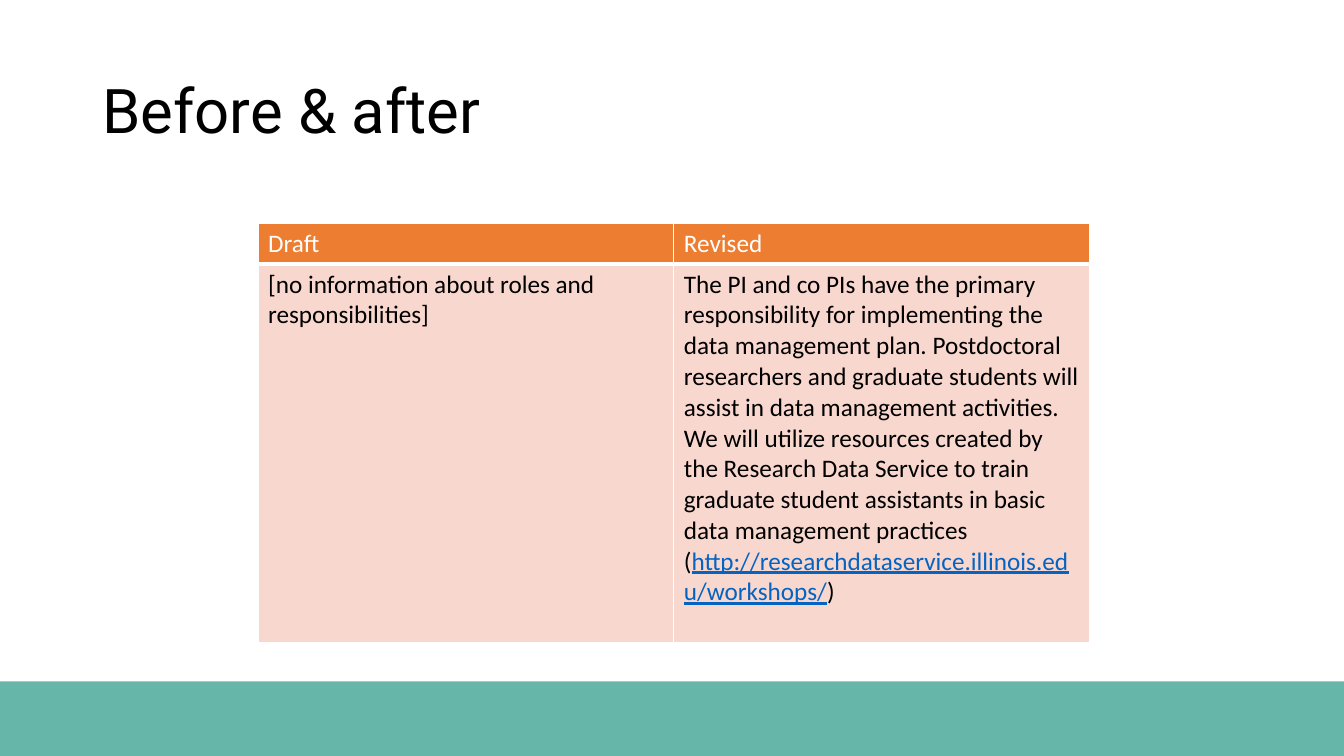
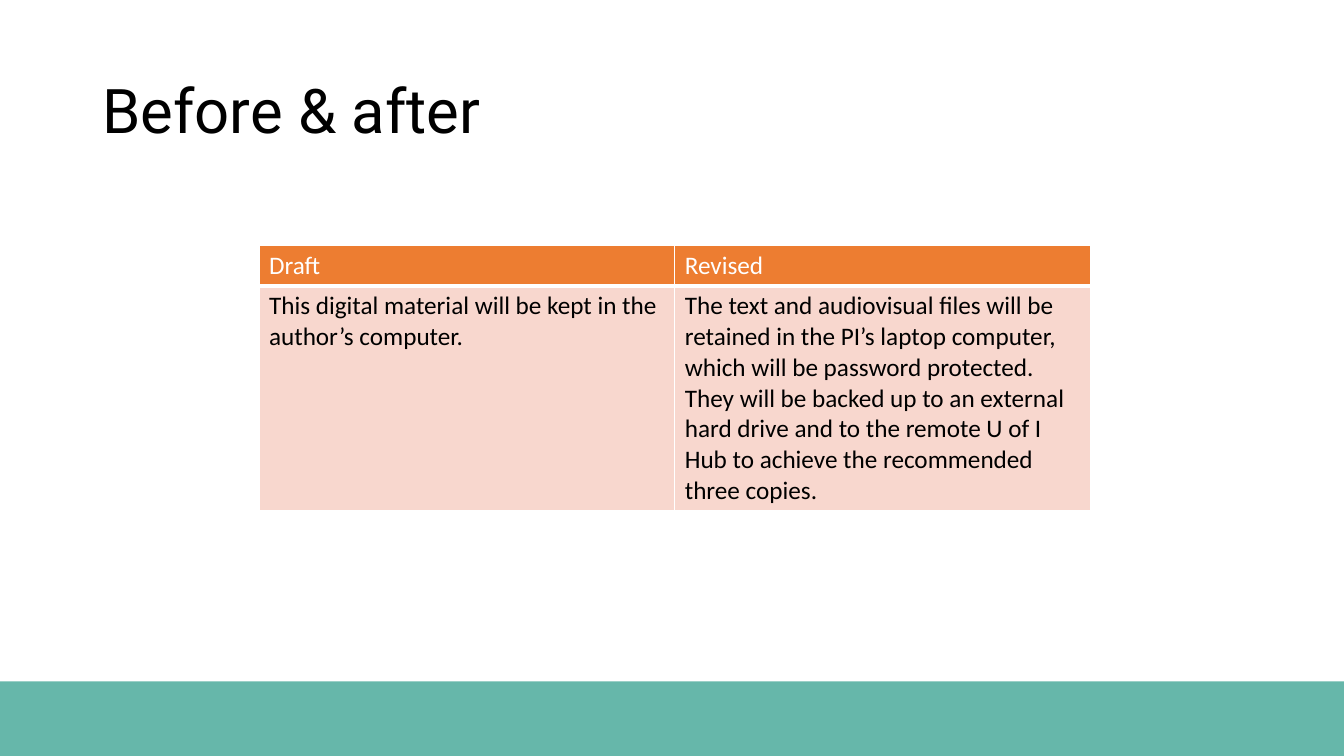
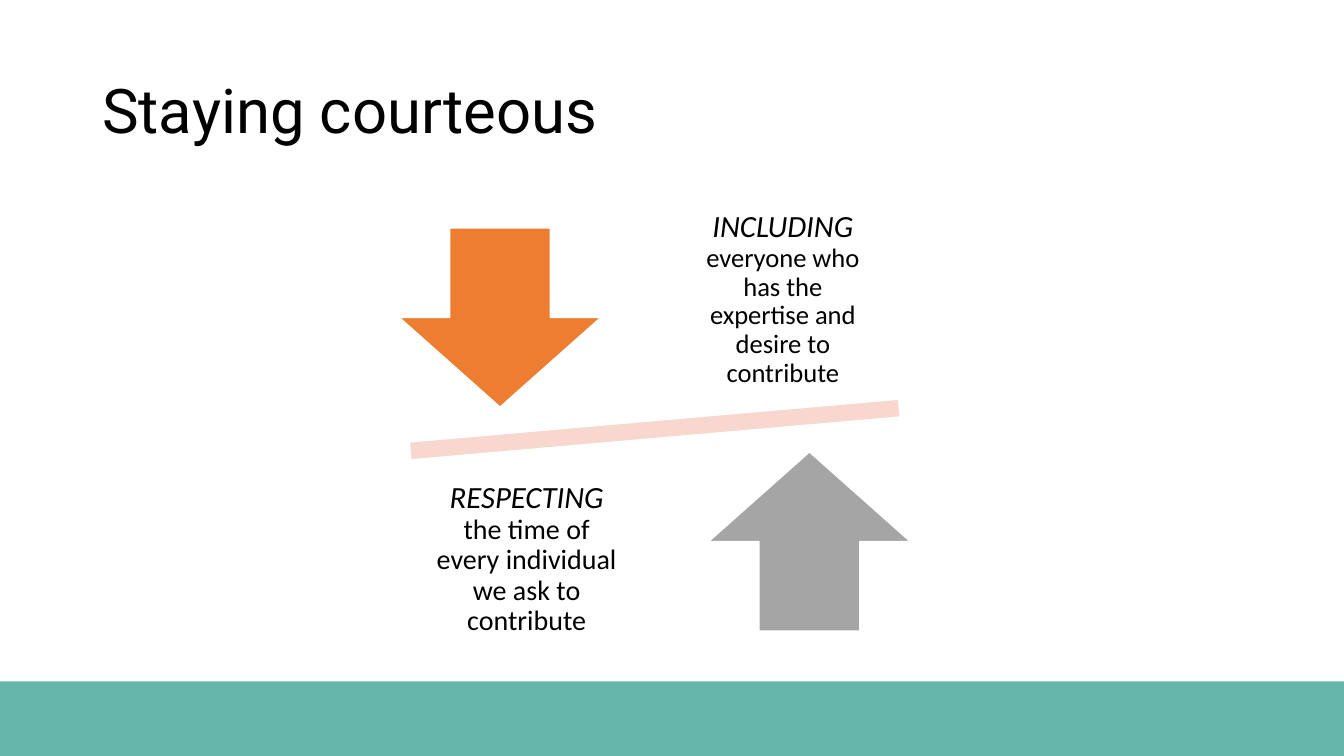
from lxml import etree
from pptx import Presentation
from pptx import util as u
from pptx.dml.color import RGBColor
from pptx.enum import shapes, text
from pptx.oxml.ns import qn

Pt = u.Pt
SHAPE = shapes.MSO_SHAPE
SLIDE_W, SLIDE_H = 960, 540

COLORS = {
    "band": "319F8D", "black": "000000", "white": "FFFFFF",
    "orange": "ED7D31", "blush": "F8D7CE", "gray": "A5A5A5", "link": "0563C1",
}

# Text formats
BODY = {"name": "Calibri", "size": Pt(18), "bold": False, "color": "black"}
HEADER = {**BODY, "color": "white"}
LINK = {**BODY, "color": "link", "underline": True}
TITLE = {"name": "Roboto", "size": Pt(44), "color": "black"}
LEAD = {**BODY, "size": Pt(22), "italic": True}

TITLE_BOX = (66, 29, 828, 104)
BAND_BOX = (0, 486.7, SLIDE_W, SLIDE_H - 486.7)
HEAD_H = 29.2


def rgb(name):
    return RGBColor.from_string(COLORS[name])


def add_run(p, words, fmt):
    r = p.add_run()
    r.text = words
    for key, value in fmt.items():
        if key == "color":
            r.font.color.rgb = rgb(value)
        else:
            setattr(r.font, key, value)


def add_text(s, box, inset=None, align=None):
    """Add a vertically centred text box and return its paragraph."""
    tf = s.shapes.add_textbox(*map(Pt, box)).text_frame
    tf.word_wrap = True
    tf.vertical_anchor = text.MSO_ANCHOR.MIDDLE
    if inset is not None:
        for side in ("left", "top", "right", "bottom"):
            setattr(tf, f"margin_{side}", Pt(inset))
    p = tf.paragraphs[0]
    p.alignment = align
    p.line_spacing = 0.9
    return p


def add_shape(s, kind, box, fill, line=None):
    sp = s.shapes.add_shape(kind, *map(Pt, box))
    sp.shadow.inherit = False
    sp.fill.solid()
    sp.fill.fore_color.rgb = rgb(fill)
    if line:
        sp.line.color.rgb = rgb(line)
        sp.line.width = Pt(1)
    else:
        sp.line.fill.background()
    return sp


def add_slide(prs, title):
    """Blank slide with the shared footer band and title."""
    s = prs.slides.add_slide(prs.slide_layouts[6])
    band = add_shape(s, SHAPE.RECTANGLE, BAND_BOX, "band")
    color = band.fill._xPr.find(".//" + qn("a:srgbClr"))
    etree.SubElement(color, qn("a:alpha"), val="74000")
    add_run(add_text(s, TITLE_BOX), title, TITLE)
    return s


def set_borders(cell, bottom):
    tcPr = cell._tc.get_or_add_tcPr()
    for edge, width in (("L", 1), ("R", 1), ("T", 1), ("B", bottom)):
        ln = etree.SubElement(tcPr, qn(f"a:ln{edge}"), w=str(Pt(width)))
        fill = etree.SubElement(ln, qn("a:solidFill"))
        etree.SubElement(fill, qn("a:srgbClr"), val=COLORS["white"])


def add_comparison(s, box, draft, revised):
    """Draft and revised wording side by side, each a list of (words, format)."""
    x, y, w, h = box
    table = s.shapes.add_table(2, 2, *map(Pt, box)).table
    table.first_row = table.horz_banding = False
    for col in table.columns:
        col.width = Pt(w / 2)
    for row, height in zip(table.rows, (HEAD_H, h - HEAD_H)):
        row.height = Pt(height)

    rows = (
        ([("Draft", HEADER)], [("Revised", HEADER)]),
        (draft, revised),
    )
    looks = (("orange", 3), ("blush", 1))
    for i, (cells, (fill, bottom)) in enumerate(zip(rows, looks)):
        for j, runs in enumerate(cells):
            cell = table.cell(i, j)
            set_borders(cell, bottom)
            cell.fill.solid()
            cell.fill.fore_color.rgb = rgb(fill)
            for words, fmt in runs:
                add_run(cell.text_frame.paragraphs[0], words, fmt)


def add_seesaw(s, box):
    """Tilted bar with an arrow and a note on each side, mirrored about the centre."""
    x, y, w, h = box
    cx, cy = x + w / 2, y + h / 2

    def centered(dx, dy, width, height):
        return cx + dx - width / 2, cy + dy - height / 2, width, height

    bar = add_shape(s, SHAPE.MATH_MINUS, centered(0, 0, w, 54.7), "blush", "white")
    bar.rotation = 355

    # side: -1 left, 1 right
    sides = (
        (-1, SHAPE.DOWN_ARROW, "orange", "RESPECTING", 20,
         "the time of every individual we ask to contribute"),
        (1, SHAPE.UP_ARROW, "gray", "INCLUDING", 19,
         "everyone who has the expertise and desire to contribute"),
    )
    for side, arrow, fill, lead, size, note in sides:
        add_shape(s, arrow, centered(side * 110.5, side * 80, 144, 128), fill, "white")
        p = add_text(s, centered(side * 91.5, side * -92.8, 153.4, 134.6),
                     inset=12.2, align=text.PP_ALIGN.CENTER)
        add_run(p, lead, LEAD)
        p.add_line_break()
        add_run(p, note, {**BODY, "size": Pt(size)})


def main():
    prs = Presentation()
    prs.slide_width, prs.slide_height = Pt(SLIDE_W), Pt(SLIDE_H)

    # Roles and responsibilities
    s = add_slide(prs, "Before & after")
    add_comparison(
        s, (184.3, 159.5, 594, 299.4),
        [("[no information about roles and responsibilities]", BODY)],
        [("The PI and co PIs have the primary responsibility for implementing "
          "the data management plan. Postdoctoral researchers and graduate "
          "students will assist in data management activities. We will utilize "
          "resources created by the Research Data Service to train graduate "
          "student assistants in basic data management practices (", BODY),
         ("http://researchdataservice.illinois.edu/workshops/", LINK),
         (")", BODY)])

    # Storage and backup
    s = add_slide(prs, "Before & after")
    add_comparison(
        s, (185, 175, 594, 189.5),
        [("This digital material will be kept in the author’s computer.", BODY)],
        [("The text and audiovisual files will be retained in the PI’s laptop "
          "computer, which will be password protected. They will be backed up "
          "to an external hard drive and to the remote U of I Hub to achieve "
          "the recommended three copies.", BODY)])

    # Balance of courtesy
    s = add_slide(prs, "Staying courteous")
    add_seesaw(s, (229, 146.8, 477.4, 320))

    prs.save("out.pptx")


if __name__ == "__main__":
    main()
